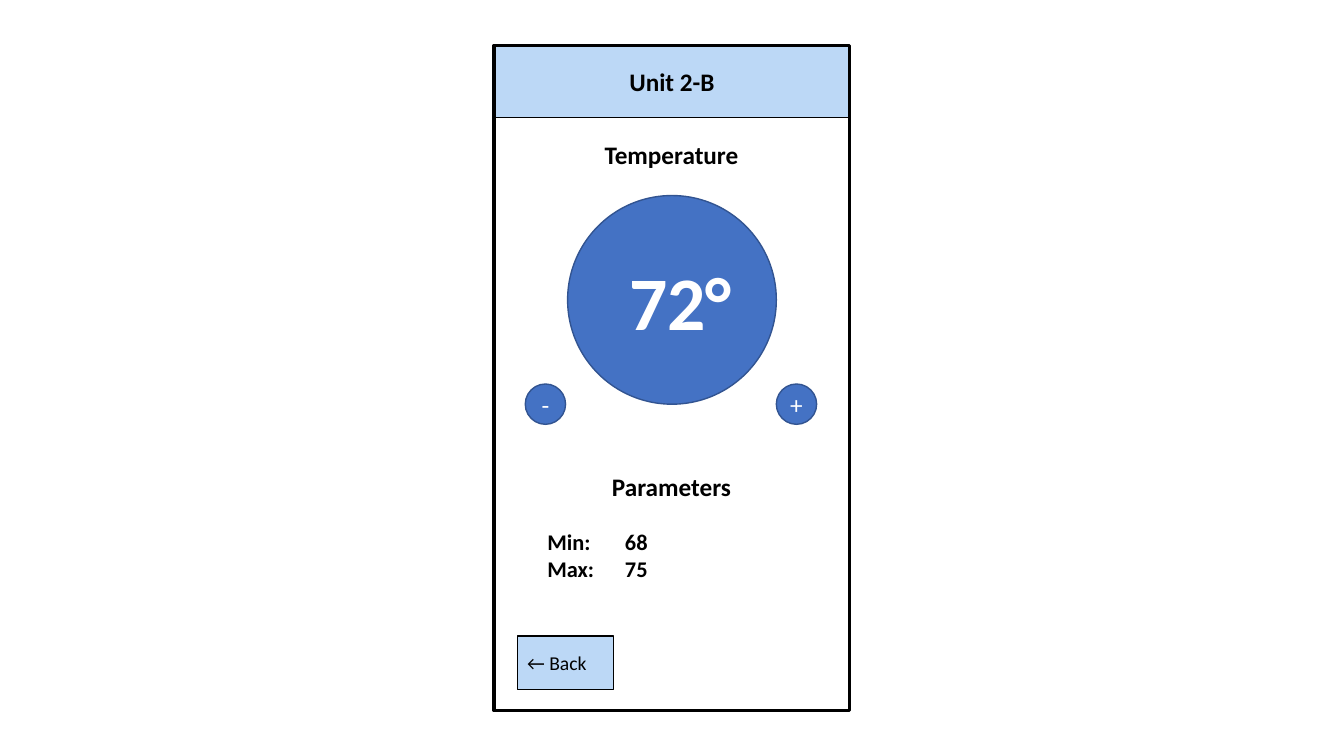
from lxml import etree
from pptx import Presentation
from pptx.dml.color import RGBColor
from pptx.enum.shapes import MSO_SHAPE
from pptx.enum.text import MSO_ANCHOR, MSO_AUTO_SIZE, PP_ALIGN
from pptx.oxml.ns import qn
from pptx.util import Pt

PX = 9144
RECT, OVAL = MSO_SHAPE.RECTANGLE, MSO_SHAPE.OVAL
MIDDLE, NO_FIT = MSO_ANCHOR.MIDDLE, MSO_AUTO_SIZE.NONE
LEFT, CENTER = PP_ALIGN.LEFT, PP_ALIGN.CENTER
TITLE_ONLY = 5
BLACK, WHITE, SKY, BLUE, NAVY = "000000", "FFFFFF", "BCD8F6", "4472C4", "325491"


def emu(*lengths):
    """Turn px lengths into EMU."""
    return [n * PX for n in lengths]


def color(value):
    """Turn a hex string into a colour."""
    return RGBColor.from_string(value)


def set_attrs(obj, values):
    """Set attributes from a dict of format values."""
    for name, value in values.items():
        setattr(obj, name, value)


def paint(sp, fill, line, width):
    """Give a shape its fill and outline."""
    if fill:
        sp.fill.solid()
        sp.fill.fore_color.rgb = color(fill)
    else:
        sp.fill.background()
    sp.line.color.rgb = color(line)
    sp.line.width = Pt(width)


def write(sp, lines, size, ink=BLACK, bold=False, align=CENTER, inset=10):
    """Write one paragraph per line, centred vertically."""
    tf = sp.text_frame
    side = inset * PX
    set_attrs(tf, {"word_wrap": True, "auto_size": NO_FIT,
                   "vertical_anchor": MIDDLE,
                   "margin_left": side, "margin_right": side,
                   "margin_top": side // 2, "margin_bottom": side // 2})
    tf.text = "\n".join(lines)
    for p in tf.paragraphs:
        set_attrs(p, {"alignment": align, "line_spacing": 1.0})
        for r in p.runs:
            set_attrs(r.font, {"name": "Calibri", "size": Pt(size), "bold": bold})
            r.font.color.rgb = color(ink)


def add_shape(s, kind, box, fill, line, width):
    """Add a painted shape without a shadow."""
    sp = s.shapes.add_shape(kind, *emu(*box))
    sp.shadow.inherit = False
    paint(sp, fill, line, width)
    return sp


def add_text(s, box, lines, size, align=CENTER):
    """Add a bold text box."""
    sp = s.shapes.add_textbox(*emu(*box))
    write(sp, lines, size, bold=True, align=align)
    return sp


def add_dial(s, box, text, size, bold=False):
    """Add a blue circle with white text."""
    sp = add_shape(s, OVAL, box, BLUE, NAVY, 1)
    write(sp, [text], size, WHITE, bold, inset=0)


def header(s, x, y, w, h):
    """Turn the title into the bar at the top of the screen."""
    sp = s.shapes.title
    set_attrs(sp, dict(zip(("left", "top", "width", "height"), emu(x, y, w, h))))
    paint(sp, SKY, BLACK, 0.75)
    write(sp, ["Unit 2-B"], 18, bold=True)


def temperature(s, x, y, w):
    """Place the heading, the big dial and its two buttons."""
    add_text(s, (x + 42, y, 268, 34), ["Temperature"], 18)
    big, small = 207, 40
    left = x + (w - big) // 2
    add_dial(s, (left, y + 58, big, big), " 72°", 54, True)
    for sign, button_x in (("+", left + big), ("-", left - small - 2)):
        add_dial(s, (button_x, y + 245, small, small), sign, 18)


def parameters(s, x, y):
    """Place the heading and the limits, aligned at a tab stop."""
    add_text(s, (x + 42, y, 268, 34), ["Parameters"], 18)
    limits = [("Min", 68), ("Max", 75)]
    sp = add_text(s, (x + 43, y + 52, 268, 65),
                  [f"{name}:\t{value}" for name, value in limits], 16, LEFT)
    for p in sp.text_frame.paragraphs:
        tabs = etree.SubElement(p._p.get_or_add_pPr(), qn("a:tabLst"))
        etree.SubElement(tabs, qn("a:tab"), pos=str(77 * PX), algn="l")


def back_button(s, x, y):
    """Place the button that leads back."""
    sp = add_shape(s, RECT, (x, y, 96, 53), SKY, BLACK, 0.75)
    write(sp, ["← Back"], 14, align=LEFT)


def phone_screen(s, x, y, w, h):
    """Place the framed screen and its regions."""
    header(s, x, y, w, 72)
    add_shape(s, RECT, (x, y, w, h), None, BLACK, 2.25)
    temperature(s, x, y + 91, w)
    parameters(s, x, y + 421)
    back_button(s, x + 23, y + h - 74)


def main():
    """Build and save the slide."""
    prs = Presentation()
    prs.slide_width, prs.slide_height = emu(1333, 750)
    s = prs.slides.add_slide(prs.slide_layouts[TITLE_ONLY])
    phone_screen(s, 490, 45, 353, 660)
    prs.save("out.pptx")


if __name__ == "__main__":
    main()
